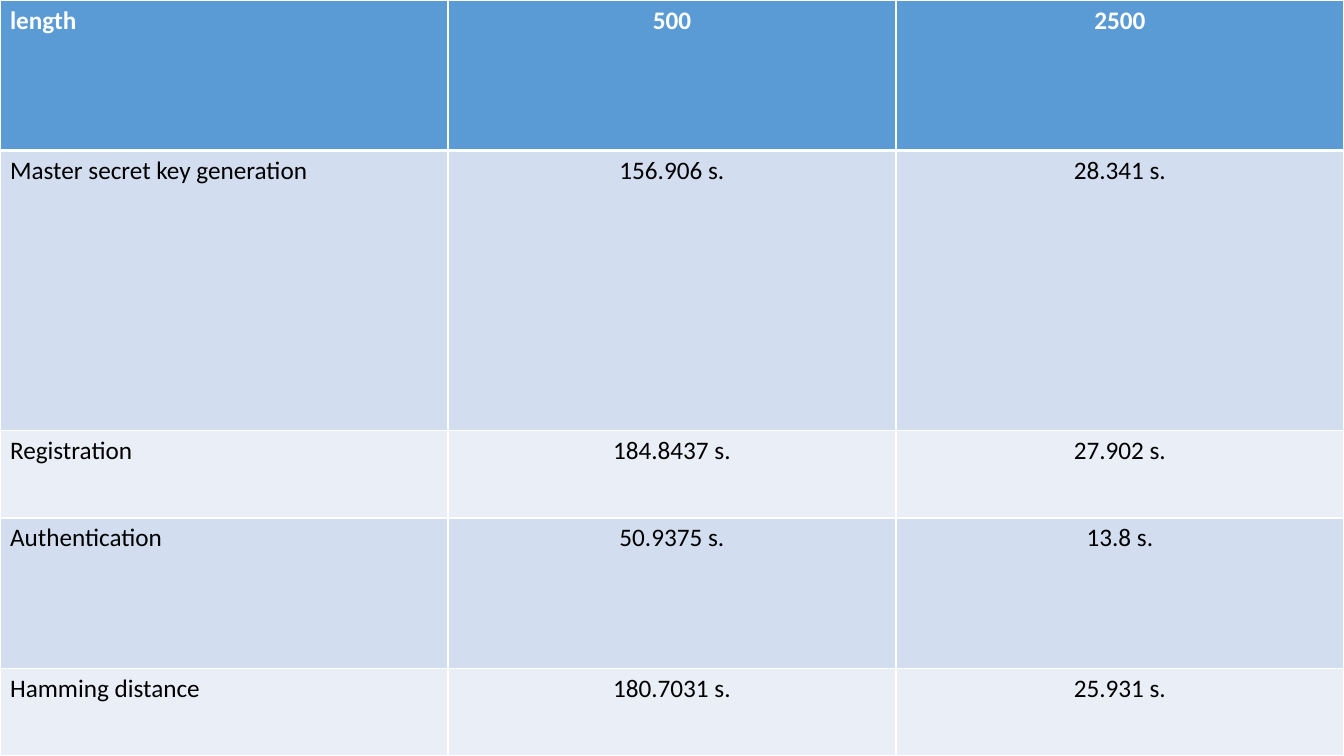
"""Build a slide with a full-page table of timings by key length."""
from lxml import etree
from pptx import Presentation
from pptx.dml.color import RGBColor
from pptx.enum.text import PP_ALIGN
from pptx.oxml.ns import qn
from pptx.util import Pt

LEFT, CENTER = PP_ALIGN.LEFT, PP_ALIGN.CENTER
WHITE = RGBColor(0xFF, 0xFF, 0xFF)
BLACK = RGBColor(0x00, 0x00, 0x00)
HEADER_BLUE = RGBColor(0x5B, 0x9B, 0xD5)
BAND_DARK = RGBColor(0xD2, 0xDE, 0xEF)
BAND_LIGHT = RGBColor(0xEA, 0xEF, 0xF7)
SLIDE_WIDTH, SLIDE_HEIGHT = 960, 540
ROW_HEIGHTS = [107.5, 200, 62.5, 107.5, 62.5]
TIMINGS = [
    ["length", "500", "2500"],
    ["Master secret key generation", "156.906 s.", "28.341 s."],
    ["Registration", "184.8437 s.", "27.902 s."],
    ["Authentication", "50.9375 s.", "13.8 s."],
    ["Hamming distance", "180.7031 s.", "25.931 s."],
]


def add_border(cell, side, width, color):
    properties = cell._tc.get_or_add_tcPr()
    line = etree.SubElement(properties, qn(f"a:ln{side}"), w=str(Pt(width)))
    fill = etree.SubElement(line, qn("a:solidFill"))
    etree.SubElement(fill, qn("a:srgbClr"), val=str(color))


presentation = Presentation()
presentation.slide_width = Pt(SLIDE_WIDTH)
presentation.slide_height = Pt(SLIDE_HEIGHT)
slide = presentation.slides.add_slide(presentation.slide_layouts[6])

row_count, column_count = len(TIMINGS), len(TIMINGS[0])
table = slide.shapes.add_table(
    row_count, column_count, Pt(0), Pt(0), Pt(SLIDE_WIDTH), Pt(SLIDE_HEIGHT)
).table
for column in table.columns:
    column.width = Pt(SLIDE_WIDTH / column_count)

for row_index, (height, texts) in enumerate(zip(ROW_HEIGHTS, TIMINGS)):
    table.rows[row_index].height = Pt(height)
    is_header = row_index == 0
    band_color = BAND_DARK if row_index % 2 else BAND_LIGHT
    for column_index, text in enumerate(texts):
        cell = table.cell(row_index, column_index)
        for side in "LRTB":
            below_header = (row_index, side) in [(0, "B"), (1, "T")]
            add_border(cell, side, 3 if below_header else 1, WHITE)
        cell.fill.solid()
        cell.fill.fore_color.rgb = HEADER_BLUE if is_header else band_color
        paragraph = cell.text_frame.paragraphs[0]
        paragraph.alignment = CENTER if column_index else LEFT
        run = paragraph.add_run()
        run.text = text
        run.font.name = "Calibri"
        run.font.size = Pt(18)
        run.font.bold = is_header
        run.font.color.rgb = WHITE if is_header else BLACK

presentation.save("out.pptx")
